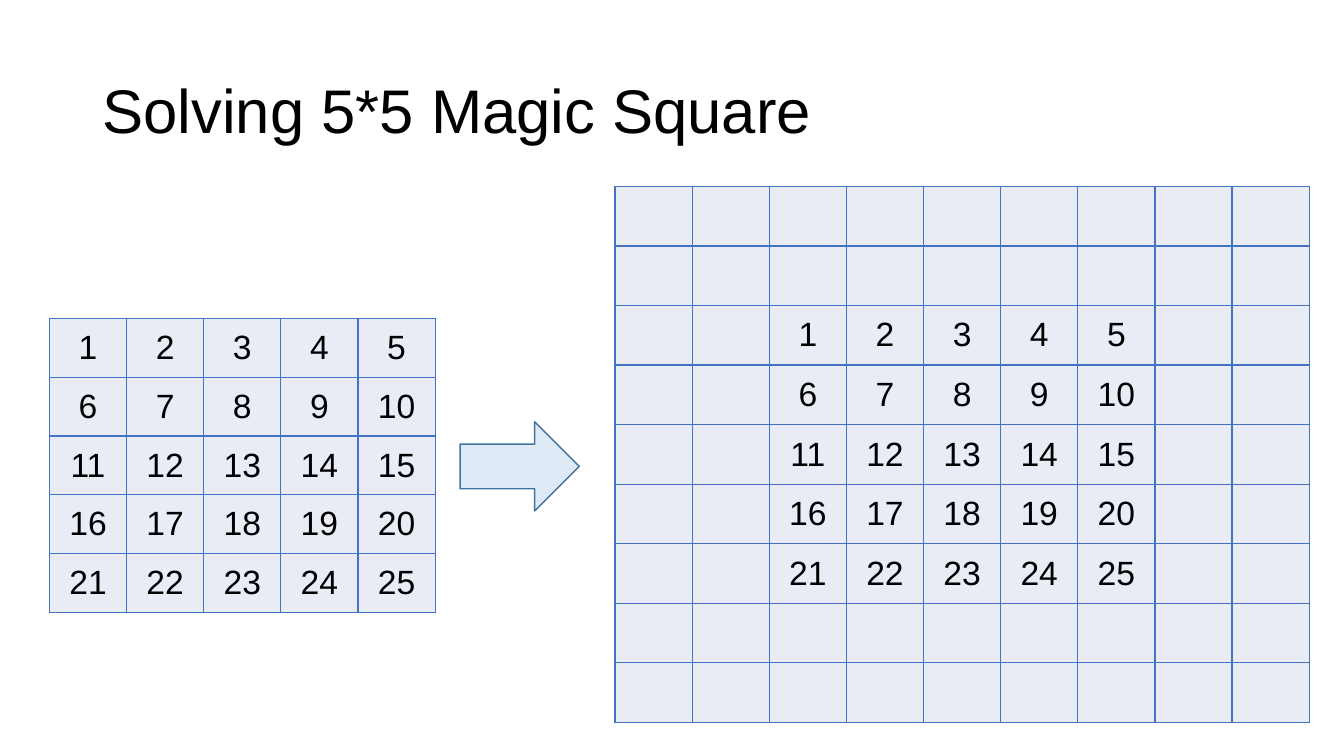
from lxml.etree import SubElement
from pptx import Presentation
from pptx.dml.color import RGBColor
from pptx.enum.shapes import MSO_SHAPE as Shape
from pptx.enum.text import MSO_ANCHOR as Anchor, MSO_AUTO_SIZE as AutoSize, PP_ALIGN as Align
from pptx.oxml.ns import qn
from pptx.util import Inches, Pt

COLORS = {
    "text": "000000",
    "cell": "E9EBF5",
    "border": "4472C4",
    "arrow": "DEEBF7",
    "arrow_line": "43739E",
}
SQUARE_SIZE = 5
PADDING = 2  # empty cells around the square in the larger grid


class SlideBuilder:
    """Holds the style and the current slide; lengths are percent of the slide."""

    font_name = "Arial"

    def __init__(self, presentation):
        self.width = presentation.slide_width
        self.height = presentation.slide_height
        self.slide = presentation.slides.add_slide(presentation.slide_layouts[5])

    def x(self, percent):
        return round(self.width * percent / 100)

    def y(self, percent):
        return round(self.height * percent / 100)

    def box(self, left, top, width, height):
        return self.x(left), self.y(top), self.x(width), self.y(height)

    def color(self, name):
        return RGBColor.from_string(COLORS[name])

    def format_paragraph(self, paragraph, size, alignment):
        paragraph.alignment = alignment
        for name, value in {"name": self.font_name, "size": Pt(size)}.items():
            setattr(paragraph.font, name, value)
        paragraph.font.color.rgb = self.color("text")

    def title(self, text, *place):
        title = self.slide.shapes.title
        for name, value in zip(("left", "top", "width", "height"), self.box(*place)):
            setattr(title, name, value)
        frame = title.text_frame
        frame.text = text
        settings = {"word_wrap": True, "auto_size": AutoSize.NONE,
                    "vertical_anchor": Anchor.MIDDLE}
        for name, value in settings.items():
            setattr(frame, name, value)
        paragraph = frame.paragraphs[0]
        paragraph.line_spacing = 0.9
        self.format_paragraph(paragraph, 44, Align.LEFT)

    def cell_borders(self, cell):
        properties = cell._tc.get_or_add_tcPr()
        for side in ("lnL", "lnR", "lnT", "lnB"):
            line = SubElement(properties, qn(f"a:{side}"), w=str(Pt(1)))
            fill = SubElement(line, qn("a:solidFill"))
            SubElement(fill, qn("a:srgbClr"), val=COLORS["border"])

    def number_grid(self, left, top, column_width, row_height, padding=0):
        """Number the central square from 1 upwards, row by row."""
        count = SQUARE_SIZE + 2 * padding
        place = self.box(left, top, column_width * count, row_height * count)
        table = self.slide.shapes.add_table(count, count, *place).table
        table.first_row = table.horz_banding = False
        for column in table.columns:
            column.width = self.x(column_width)
        for row_index, row in enumerate(table.rows):
            row.height = self.y(row_height)
            for column_index, cell in enumerate(row.cells):
                self.cell_borders(cell)
                cell.fill.solid()
                cell.fill.fore_color.rgb = self.color("cell")
                square_row, square_column = row_index - padding, column_index - padding
                if square_row in range(SQUARE_SIZE) and square_column in range(SQUARE_SIZE):
                    cell.text = str(square_row * SQUARE_SIZE + square_column + 1)
                    cell.vertical_anchor = Anchor.MIDDLE
                    self.format_paragraph(cell.text_frame.paragraphs[0], 24, Align.CENTER)

    def right_arrow(self, *place):
        arrow = self.slide.shapes.add_shape(Shape.RIGHT_ARROW, *self.box(*place))
        arrow.shadow.inherit = False
        arrow.fill.solid()
        arrow.fill.fore_color.rgb = self.color("arrow")
        arrow.line.color.rgb = self.color("arrow_line")
        arrow.line.width = Pt(1)


def main():
    presentation = Presentation()
    presentation.slide_width = Inches(13.33)
    presentation.slide_height = Inches(7.5)
    builder = SlideBuilder(presentation)

    # Title
    builder.title("Solving 5*5 Magic Square", 6.88, 5.33, 86.25, 19.33)

    # Starting square, and the same square inside a padded grid
    builder.number_grid(3.68, 42.1, 5.74, 7.79)
    builder.number_grid(45.76, 24.65, 5.74, 7.88, PADDING)

    # Arrow between the two grids
    builder.right_arrow(34.23, 55.8, 8.87, 11.8)

    presentation.save("out.pptx")


if __name__ == "__main__":
    main()
